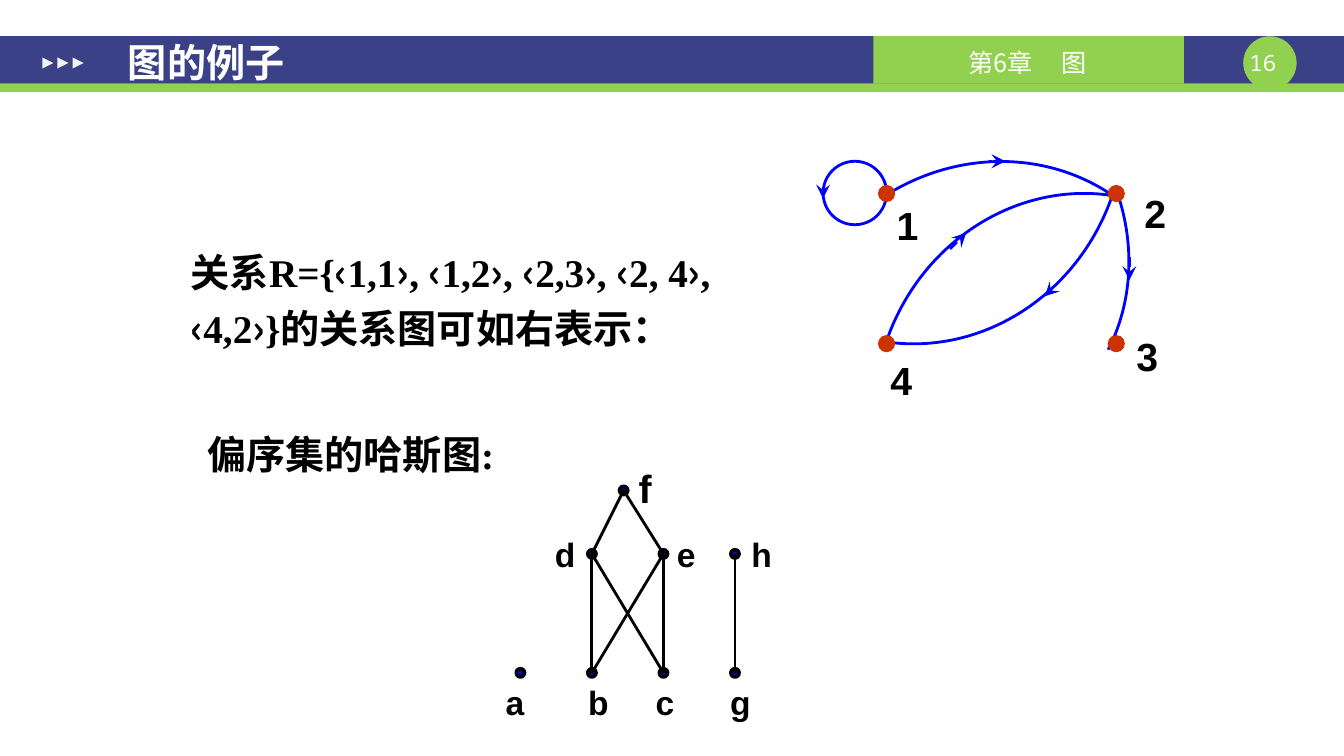
from dataclasses import dataclass
from typing import Optional

from lxml.etree import SubElement
from pptx import Presentation
from pptx.dml.color import RGBColor
from pptx.enum.shapes import MSO_CONNECTOR as Link, MSO_SHAPE as Geo
from pptx.enum.text import MSO_ANCHOR as Anchor, MSO_AUTO_SIZE as Fit, PP_ALIGN as Al
from pptx.oxml.ns import qn
from pptx.util import Emu, Inches, Pt

COLS, ROWS = 133.4, 75
CELL = Inches(0.1)
NAVY, GREEN, WHITE, BLACK = "3A4187", "92D050", "FFFFFF", "000000"
BLUE, RED, PALE = "0000FF", "CC3300", "F2F2F2"
SERIF, SANS, MONO, CJK = "Times New Roman", "Arial", "Noto Sans Mono", "Noto Sans CJK SC"
FRAME = {
    "auto_size": Fit.NONE, "vertical_anchor": Anchor.MIDDLE,
    "margin_right": CELL, "margin_bottom": 0,
}

Point = tuple[float, float]
Box = tuple[float, float, float, float]


@dataclass(frozen=True)
class Style:
    font: str
    size: int
    color: str = BLACK
    bold: bool = True
    align: Al = Al.LEFT
    pitch: Optional[int] = None
    tabs: tuple[float, ...] = ()
    inset: float = 1
    drop: float = 0


@dataclass(frozen=True)
class Block:
    geo: Geo
    box: Box
    color: str
    turn: int = 0
    text: str = ""
    style: Optional[Style] = None


@dataclass(frozen=True)
class Arc:
    curve: tuple[Point, Point, Point, Point]
    arrow: tuple[Point, Point]


@dataclass(frozen=True)
class Label:
    text: str
    box: Box
    style: Style


HEADING = Style(SERIF, 28, WHITE)
BODY = Style(SERIF, 28)
RELATION = Style(SERIF, 28, pitch=40, tabs=(14.2,))
CHAPTER = Style(CJK, 18, WHITE, False, tabs=(9.3,), inset=9.4, drop=0.4)
NUMBER = Style(MONO, 16, WHITE, False, Al.CENTER)
NAME = Style(SANS, 28)
LOW_ROW = Style(SANS, 24, tabs=(8.2, 14.9, 22.3))
MIDDLE_ROW = Style(SANS, 24, tabs=(12.1, 19.5))

BANNER = [
    Block(Geo.RECTANGLE, (0, 3.6, COLS, 4.7), NAVY),
    Block(Geo.RECTANGLE, (0, 8.35, COLS, 0.8), GREEN),
    Block(Geo.OVAL, (123.4, 3.6, 5.3, 5.3), GREEN),
    Block(Geo.RECTANGLE, (86.7, 3.6, 30.8, 4.7), GREEN, 0, "第6章\t图", CHAPTER),
    *(Block(Geo.ISOSCELES_TRIANGLE, (4.2 + 1.5 * i, 5.7, 1.1, 1.1), PALE, 90) for i in range(3)),
]
ARCS = [
    Arc(((110.9, 19.1), (112.7, 24.4), (112.4, 30), (110, 34.7)), ((112.1, 25.5), (112.1, 27.8))),
    Arc(((88.2, 19.2), (95.3, 14.9), (103.9, 15), (110.3, 19.3)), ((98.2, 16), (99.8, 16))),
    Arc(((87.9, 34.1), (91.3, 23.9), (101.2, 17.7), (111, 19.5)), ((94.3, 24.7), (95.9, 23.1))),
    Arc(((110.6, 18.8), (107.4, 29), (97.7, 35.4), (87.8, 33.9)), ((104.5, 28.6), (103.7, 29.4))),
]
VERTICES = [(x, y) for y in (19.2, 34.1) for x in (88, 110.8)]

LEFT, STEP, LOW, MIDDLE, TOP = 51.65, 7.1, 66.75, 54.95, 48.65
HASSE = {name: (LEFT + STEP * i, LOW) for i, name in enumerate("abcg")}
HASSE |= {name: (LEFT + STEP * i, MIDDLE) for i, name in enumerate("deh", 1)}
HASSE["f"] = (61.9, TOP)
EDGES = ["hg", "ec", "db", "eb", "dc", "fd", "fe"]

LABELS = [
    Label("1", (88, 19.5, 4.2, 5.7), NAME),
    Label("2", (112.6, 18.3, 4.2, 5.7), NAME),
    Label("3", (111.8, 32.5, 4.2, 5.7), NAME),
    Label("4", (87.4, 34.8, 4.2, 5.7), NAME),
    Label("a\tb\tc\tg", (49.2, 67.1, 26.6, 5.1), LOW_ROW),
    Label("d\te\th", (54.1, 52.1, 27.1, 5.7), MIDDLE_ROW),
    Label("f", (62.4, 45.5, 3.3, 5.7), NAME),
]


def grid(n: float) -> Emu:
    return Emu(round(n * CELL))


def rgb(value: str) -> RGBColor:
    return RGBColor.from_string(value)


def apply(target, values: dict) -> None:
    for name, value in values.items():
        setattr(target, name, value)


def write(sp, text: str, style: Style) -> None:
    tf = sp.text_frame
    apply(tf, FRAME | {"word_wrap": True, "margin_left": grid(style.inset),
                       "margin_top": grid(style.drop)})
    p = tf.paragraphs[0]
    if style.tabs:
        stops = SubElement(p._p.get_or_add_pPr(), qn("a:tabLst"))
        for stop in style.tabs:
            SubElement(stops, qn("a:tab"), pos=str(grid(stop)), algn="l")
    p.alignment = style.align
    if style.pitch:
        p.line_spacing = Pt(style.pitch)
    r = p.add_run()
    r.text = text
    apply(r.font, {"name": style.font, "size": Pt(style.size), "bold": style.bold})
    r.font.color.rgb = rgb(style.color)
    SubElement(r.font._element, qn("a:ea")).set("typeface", CJK)


def add_text(s, box: Box, text: str, style: Style) -> None:
    write(s.shapes.add_textbox(*map(grid, box)), text, style)


def add_block(s, block: Block) -> None:
    sp = s.shapes.add_shape(block.geo, *map(grid, block.box))
    sp.shadow.inherit = False
    sp.fill.solid()
    sp.fill.fore_color.rgb = rgb(block.color)
    sp.line.fill.background()
    sp.rotation = block.turn
    if block.style:
        write(sp, block.text, block.style)


def add_dot(s, center: Point, size: float, line: str, width: float, fill: Optional[str]) -> None:
    x, y = center
    sp = s.shapes.add_shape(Geo.OVAL, *map(grid, (x - size / 2, y - size / 2, size, size)))
    sp.shadow.inherit = False
    if fill:
        sp.fill.solid()
        sp.fill.fore_color.rgb = rgb(fill)
    else:
        sp.fill.background()
    sp.line.color.rgb = rgb(line)
    sp.line.width = Pt(width)


def add_line(s, start: Point, end: Point, color: str, arrow: bool = False) -> None:
    c = s.shapes.add_connector(Link.STRAIGHT, *map(grid, (*start, *end)))
    c.line.color.rgb = rgb(color)
    c.line.width = Pt(2)
    props = c.element.spPr
    if arrow:
        SubElement(props.find(qn("a:ln")), qn("a:tailEnd"), type="stealth", w="lg", len="lg")
    SubElement(props, qn("a:effectLst"))


def add_arc(s, arc: Arc) -> None:
    points = [(grid(x), grid(y)) for x, y in arc.curve]
    outline = s.shapes.build_freeform(*points[0])
    outline.add_line_segments(points[1:], close=False)
    sp = outline.convert_to_shape()
    segments = list(sp.element.iter(qn("a:lnTo")))
    curve = SubElement(segments[0].getparent(), qn("a:cubicBezTo"))
    for segment in segments:
        curve.append(segment[0])
        segment.getparent().remove(segment)
    sp.shadow.inherit = False
    sp.fill.background()
    sp.line.color.rgb = rgb(BLUE)
    sp.line.width = Pt(2)
    add_line(s, *arc.arrow, BLUE, arrow=True)


def main() -> None:
    prs = Presentation()
    prs.slide_width, prs.slide_height = grid(COLS), grid(ROWS)
    s = prs.slides.add_slide(prs.slide_layouts[5])

    for block in BANNER:
        add_block(s, block)
    add_text(s, (122.7, 4.85, 5.3, 2.7), "16", NUMBER)
    add_text(s, (17.95, 21, 58.5, 16.7),
             "关系R={‹1,1›, ‹1,2›, ‹2,3›, ‹2, 4›,\t‹4,2›}的关系图可如右表示：", RELATION)

    add_dot(s, (84.85, 19.15), 6.3, BLUE, 2, None)
    add_line(s, (81.7, 18.6), (81.7, 19.7), BLUE, arrow=True)
    for arc in ARCS:
        add_arc(s, arc)
    for vertex in VERTICES:
        add_dot(s, vertex, 1.6, RED, 0.75, RED)

    for node in HASSE.values():
        add_dot(s, node, 0.8, BLACK, 2.75, BLUE)
    for upper, lower in EDGES:
        add_line(s, HASSE[upper], HASSE[lower], BLACK)
    for label in LABELS:
        add_text(s, label.box, label.text, label.style)
    add_text(s, (19.6, 42.2, 32, 5.7), "偏序集的哈斯图:", BODY)

    title = s.shapes.title
    apply(title, dict(zip(("left", "top", "width", "height"), map(grid, (11.7, 3.3, 29.4, 5.7)))))
    write(title, "图的例子", HEADING)
    title.element.getparent().append(title.element)

    prs.save("out.pptx")


if __name__ == "__main__":
    main()
